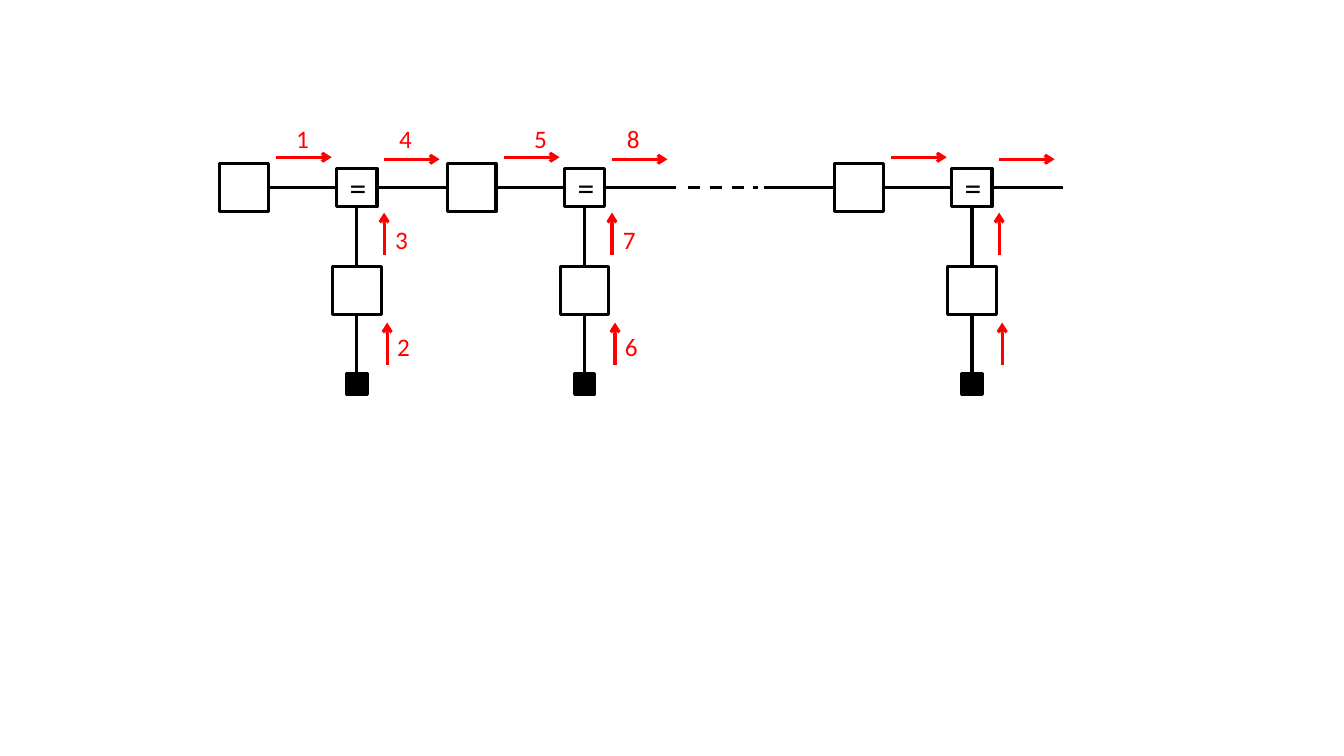
from dataclasses import dataclass

from lxml import etree
from pptx import Presentation
from pptx import util as u
from pptx.dml.color import RGBColor
from pptx.enum import dml, shapes, text
from pptx.oxml import ns
from pptx.shapes.autoshape import Shape
from pptx.shapes.connector import Connector

EMU_PER_PX = 9144
BLACK = RGBColor(0, 0, 0)
WHITE = RGBColor(255, 255, 255)
RED = RGBColor(255, 0, 0)
FONT = "Calibri"
TOP, LEFT, BOTTOM, RIGHT = range(4)
CHAIN_Y = 186
BRANCH_X = 136
STATE_SIZE = 48


@dataclass(frozen=True)
class Section:
    x: int
    steps: tuple[str, ...] = ()
    first_step_x: int = 66


@dataclass(frozen=True)
class Message:
    x1: int
    y1: int
    x2: int
    y2: int


@dataclass(frozen=True)
class StepPlace:
    x: int
    y: int
    width: int = 44
    wrap: bool = True


SECTIONS = [
    Section(218, ("1", "2", "3", "4")),
    Section(444, ("5", "6", "7", "8"), first_step_x=76),
    Section(828),
]
MESSAGES = [
    Message(56, 156, 111, 156),
    Message(163, 158, 218, 158),
    Message(166, 362, 166, 320),
    Message(163, 253, 163, 211),
]


def px(value: int) -> int:
    return u.Emu(value * EMU_PER_PX)


def add_node(parent, center_x: int, center_y: int, width: int, height: int,
             fill: RGBColor = WHITE) -> Shape:
    node = parent.add_shape(
        shapes.MSO_SHAPE.RECTANGLE, px(center_x - width // 2),
        px(center_y - height // 2), px(width), px(height))
    node.shadow.inherit = False
    node.fill.solid()
    node.fill.fore_color.rgb = fill
    node.line.color.rgb = BLACK
    node.line.width = u.Pt(2.25)
    return node


def add_line(parent, x1: int, y1: int, x2: int, y2: int, color: RGBColor = BLACK,
             arrow: bool = False, dashed: bool = False) -> Connector:
    line = parent.add_connector(
        shapes.MSO_CONNECTOR.STRAIGHT, px(x1), px(y1), px(x2), px(y2))
    line.line.color.rgb = color
    line.line.width = u.Pt(2.25)
    if dashed:
        line.line.dash_style = dml.MSO_LINE.DASH
    properties = line._element.spPr
    if arrow:
        outline = properties.find(ns.qn("a:ln"))
        etree.SubElement(outline, ns.qn("a:tailEnd"), type="arrow")
    etree.SubElement(properties, ns.qn("a:effectLst"))
    return line


def add_text(parent, words: str, x: int, y: int, width: int, height: int, *,
             size: int = 18, color: RGBColor = RED, wrap: bool = True) -> None:
    box = parent.add_textbox(px(x), px(y), px(width), px(height))
    frame = box.text_frame
    frame.word_wrap = wrap
    frame.auto_size = text.MSO_AUTO_SIZE.SHAPE_TO_FIT_TEXT
    run = frame.paragraphs[0].add_run()
    run.text = words
    run.font.name = FONT
    run.font.size = u.Pt(size)
    run.font.color.rgb = color


def add_section(canvas, section: Section) -> tuple[Shape, Connector]:
    group = canvas.add_group_shape().shapes
    x = section.x
    branch_x = x + BRANCH_X
    state = add_node(group, x + STATE_SIZE // 2, CHAIN_Y, STATE_SIZE, STATE_SIZE)
    equality = add_node(group, branch_x, CHAIN_Y, 40, 38)
    add_text(group, "=", x + 119, 161, 47, 50, size=24, color=BLACK)
    factor = add_node(group, branch_x, 288, STATE_SIZE, STATE_SIZE)
    observation = add_node(group, branch_x, 381, 20, 20, fill=BLACK)

    chain_link = add_line(group, x + 48, CHAIN_Y, x + 116, CHAIN_Y)
    chain_link.begin_connect(state, RIGHT)
    chain_link.end_connect(equality, LEFT)
    for upper, lower, y1, y2 in ((equality, factor, 205, 264),
                                 (factor, observation, 312, 371)):
        branch_link = add_line(group, branch_x, y1, branch_x, y2)
        branch_link.begin_connect(upper, BOTTOM)
        branch_link.end_connect(lower, TOP)
    outgoing = add_line(group, x + 156, CHAIN_Y, x + 226, CHAIN_Y)
    outgoing.begin_connect(equality, RIGHT)

    for message in MESSAGES:
        add_line(group, x + message.x1, message.y1, x + message.x2, message.y2,
                 color=RED, arrow=True)
    places = [StepPlace(section.first_step_x, 117, 33, False), StepPlace(166, 324),
              StepPlace(164, 218), StepPlace(168, 117)]
    for step, place in zip(section.steps, places):
        add_text(group, step, x + place.x, place.y, place.width, 40, wrap=place.wrap)
    return state, outgoing


def main() -> None:
    deck = Presentation()
    deck.slide_width, deck.slide_height = px(1333), px(750)
    canvas = deck.slides.add_slide(deck.slide_layouts[6]).shapes

    (_, first_outgoing), (second_state, _), (last_state, _) = [
        add_section(canvas, section) for section in SECTIONS]
    first_outgoing.end_connect(second_state, LEFT)
    incoming = add_line(canvas, 758, CHAIN_Y, SECTIONS[-1].x, CHAIN_Y)
    incoming.end_connect(last_state, LEFT)
    add_line(canvas, 682, CHAIN_Y, 752, CHAIN_Y, dashed=True)
    deck.save("out.pptx")


if __name__ == "__main__":
    main()
